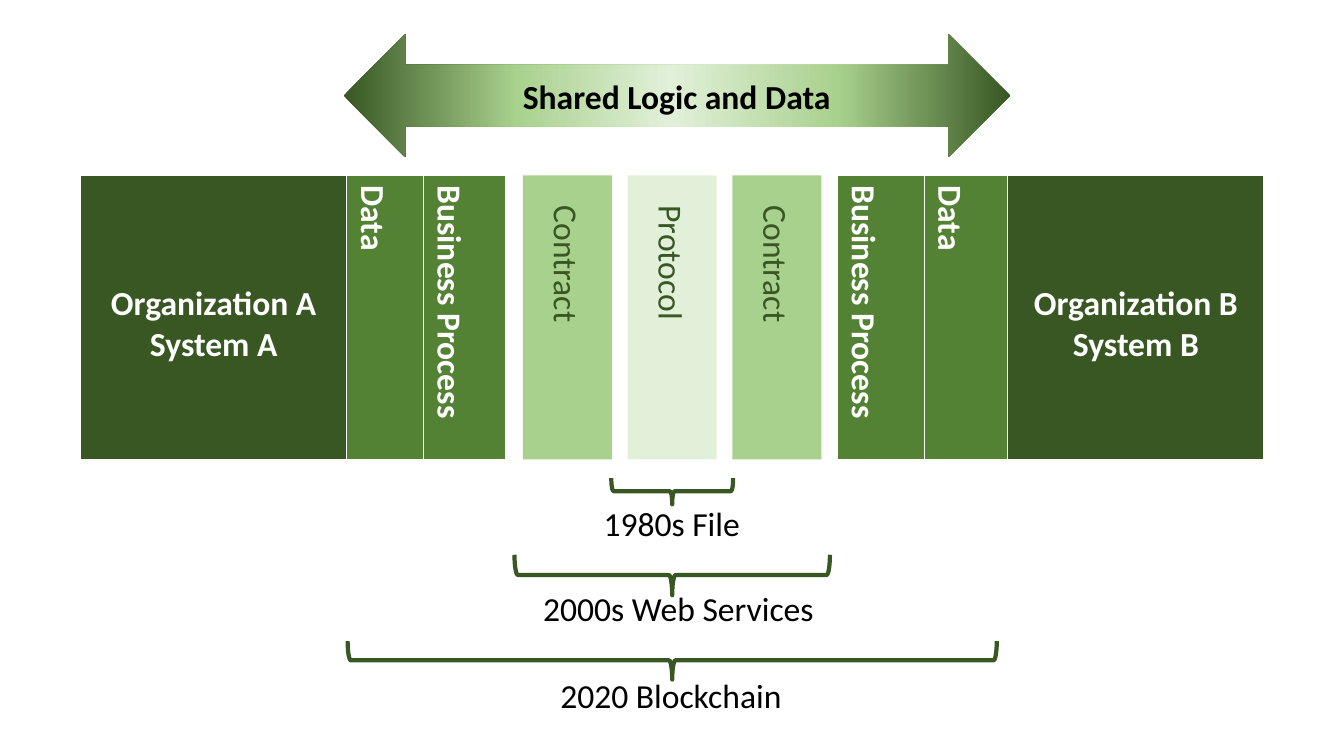
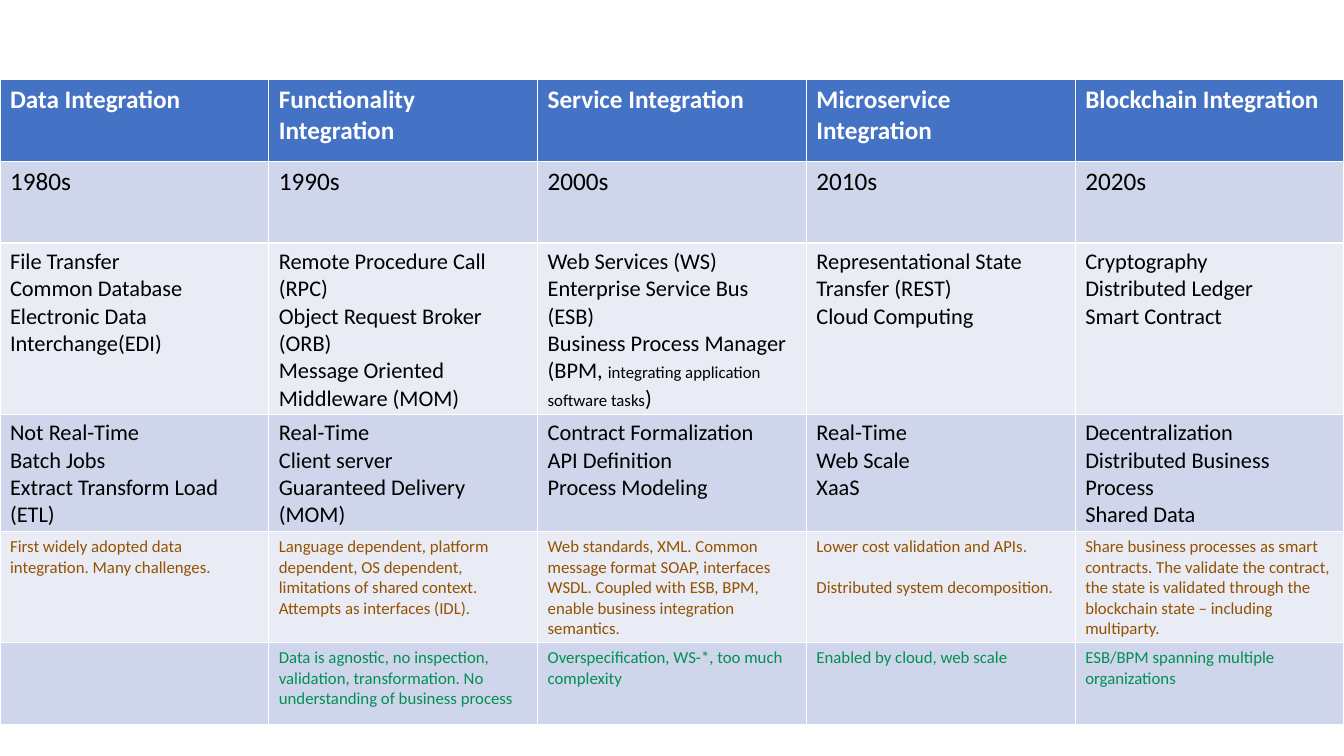
"""Build two slides on the history of integration between organizations."""
from lxml import etree
from pptx import Presentation
from pptx.dml.color import RGBColor
from pptx.enum import shapes, text
from pptx.oxml import ns
from pptx.util import Cm, Pt

FOREST, GREEN, LEAF, MINT = "385723", "548235", "A9D18E", "E2F0D9"
WHITE, BLACK = "FFFFFF", "000000"
BLUE, BAND_DARK, BAND_LIGHT = "4472C4", "CFD5EA", "E9EBF5"
BROWN, EMERALD = "945200", "009051"
FONT = "Calibri"
LEFT, CENTER = text.PP_ALIGN.LEFT, text.PP_ALIGN.CENTER
MIDDLE = text.MSO_ANCHOR.MIDDLE


def paint(fill, color):
    fill.solid()
    fill.fore_color.rgb = RGBColor.from_string(color)


def write(frame, words, size, color, bold=False, align=LEFT):
    frame.text = words
    for paragraph in frame.paragraphs:
        paragraph.alignment = align
        for run in paragraph.runs:
            run.font.name, run.font.size, run.font.bold = FONT, Pt(size), bold
            paint(run.font.fill, color)


deck = Presentation()
deck.slide_width, deck.slide_height = Cm(33.87), Cm(19.05)
blank = deck.slide_layouts[6]

layers = deck.slides.add_slide(blank)
stack_top, stack_height = Cm(4.42), Cm(7.16)

organizations = [
    (2.03, [("Organization A\nSystem A", 6.71), ("Data", 1.93), ("Business Process", 2.08)]),
    (21.11, [("Business Process", 2.18), ("Data", 2.11), ("Organization B\nSystem B", 6.45)]),
]
for left, parts in organizations:
    width = sum(part_width for _, part_width in parts)
    organization = layers.shapes.add_table(
        1, len(parts), Cm(left), stack_top, Cm(width), stack_height).table
    for index, (words, part_width) in enumerate(parts):
        organization.columns[index].width = Cm(part_width)
        cell = organization.cell(0, index)
        is_system = "\n" in words
        write(cell.text_frame, words, 24, WHITE, True, CENTER if is_system else LEFT)
        paint(cell.fill, FOREST if is_system else GREEN)
        cell.vertical_anchor = MIDDLE
        cell.margin_top, cell.margin_bottom = Cm(0.51), Cm(0.13)
        if not is_system:
            cell._tc.get_or_add_tcPr().set("vert", "vert")

for index, (words, color) in enumerate(
        [("Contract", LEAF), ("Protocol", MINT), ("Contract", LEAF)]):
    layer = layers.shapes.add_shape(
        shapes.MSO_SHAPE.RECTANGLE, Cm(13.18 + 2.64 * index), stack_top, Cm(2.24), stack_height)
    layer.shadow.inherit = False
    paint(layer.fill, color)
    layer.line.fill.background()
    frame = layer.text_frame
    write(frame, words, 24, FOREST)
    frame.vertical_anchor = MIDDLE
    frame.margin_left = frame.margin_right = 0
    frame.margin_top, frame.margin_bottom = Cm(0.76), Cm(0.13)
    frame._txBody.bodyPr.set("vert", "vert")

shared = layers.shapes.add_shape(
    shapes.MSO_SHAPE.LEFT_RIGHT_ARROW, Cm(8.66), Cm(0.86), Cm(16.79), Cm(3.1))
shared.shadow.inherit = False
shared.line.fill.background()
shared.fill.gradient()
shared.fill.gradient_angle = 0
stops = shared.element.spPr.find(".//" + ns.qn("a:gsLst"))
stops.clear()
for percent, color in [(0, FOREST), (26, LEAF), (49, MINT), (74, LEAF), (100, FOREST)]:
    stop = etree.SubElement(stops, ns.qn("a:gs"), pos=str(percent * 1000))
    etree.SubElement(stop, ns.qn("a:srgbClr"), val=color)
write(shared.text_frame, "Shared Logic and Data", 24, BLACK, True, CENTER)
shared.text_frame.vertical_anchor = MIDDLE

axis = 16.94
eras = [
    ("1980s File", 12.38, 0.66, 3.07, 14.96, 12.55, 3.99),
    ("2000s Web Services", 14.49, 1.02, 7.95, 13.44, 14.68, 7.39),
    ("2020 Blockchain", 16.64, 0.97, 16.36, 13.87, 16.87, 6.15),
]
for words, middle, depth, span, left, top, width in eras:
    brace = layers.shapes.add_shape(
        shapes.MSO_SHAPE.RIGHT_BRACE,
        Cm(axis - depth / 2), Cm(middle - span / 2), Cm(depth), Cm(span))
    brace.rotation = 90
    brace.shadow.inherit = False
    brace.fill.background()
    paint(brace.line.fill, FOREST)
    brace.line.width = Pt(3)
    era = layers.shapes.add_textbox(Cm(left), Cm(top), Cm(width), Cm(1.27)).text_frame
    era.word_wrap = False
    era.auto_size = text.MSO_AUTO_SIZE.SHAPE_TO_FIT_TEXT
    write(era, words, 24, BLACK)

history = deck.slides.add_slide(blank)
history_rows = [
    (18, WHITE, BLUE, [
        "Data Integration", "Functionality Integration", "Service Integration",
        "Microservice Integration", "Blockchain Integration"]),
    (18, BLACK, BAND_DARK, ["1980s", "1990s", "2000s", "2010s", "2020s"]),
    (16, BLACK, BAND_LIGHT, [
        "File Transfer\nCommon Database\nElectronic Data Interchange(EDI)",
        "Remote Procedure Call (RPC)\nObject Request Broker (ORB)\n"
        "Message Oriented Middleware (MOM)",
        "Web Services (WS)\nEnterprise Service Bus (ESB)\nBusiness Process Manager (BPM, ",
        "Representational State Transfer (REST)\nCloud Computing",
        "Cryptography\nDistributed Ledger\nSmart Contract"]),
    (16, BLACK, BAND_DARK, [
        "Not Real-Time\nBatch Jobs\nExtract Transform Load (ETL)",
        "Real-Time\nClient server\nGuaranteed Delivery (MOM)",
        "Contract Formalization\nAPI Definition\nProcess Modeling",
        "Real-Time\nWeb Scale\nXaaS",
        "Decentralization\nDistributed Business Process\nShared Data"]),
    (12, BROWN, BAND_LIGHT, [
        "First widely adopted data integration. Many challenges.",
        "Language dependent, platform dependent, OS dependent, limitations of shared "
        "context. Attempts as interfaces (IDL).",
        "Web standards, XML. Common message format SOAP, interfaces WSDL. Coupled with "
        "ESB, BPM, enable business integration semantics.",
        "Lower cost validation and APIs.\nDistributed system decomposition.",
        "Share business processes as smart contracts. The validate the contract, the state "
        "is validated through the blockchain state – including multiparty."]),
    (12, EMERALD, BAND_DARK, [
        "",
        "Data is agnostic, no inspection, validation, transformation. No understanding of "
        "business process",
        "Overspecification, WS-*, too much complexity",
        "Enabled by cloud, web scale",
        "ESB/BPM spanning multiple organizations"]),
]
timeline = history.shapes.add_table(
    len(history_rows), 5, 0, Cm(2.01), deck.slide_width, Cm(12.34)).table
for row, (size, color, band, entries) in enumerate(history_rows):
    for column, words in enumerate(entries):
        cell = timeline.cell(row, column)
        write(cell.text_frame, words, size, color, bold=row == 0)
        paint(cell.fill, band)

process_manager = timeline.cell(2, 2).text_frame.paragraphs[2]
for words, size in [("integrating application software tasks", 12), (")", 16)]:
    run = process_manager.add_run()
    run.text = words
    run.font.name, run.font.size, run.font.bold = FONT, Pt(size), False
    paint(run.font.fill, BLACK)
timeline.cell(4, 3).text_frame.paragraphs[1].space_before = Pt(14.6)

deck.save("out.pptx")
